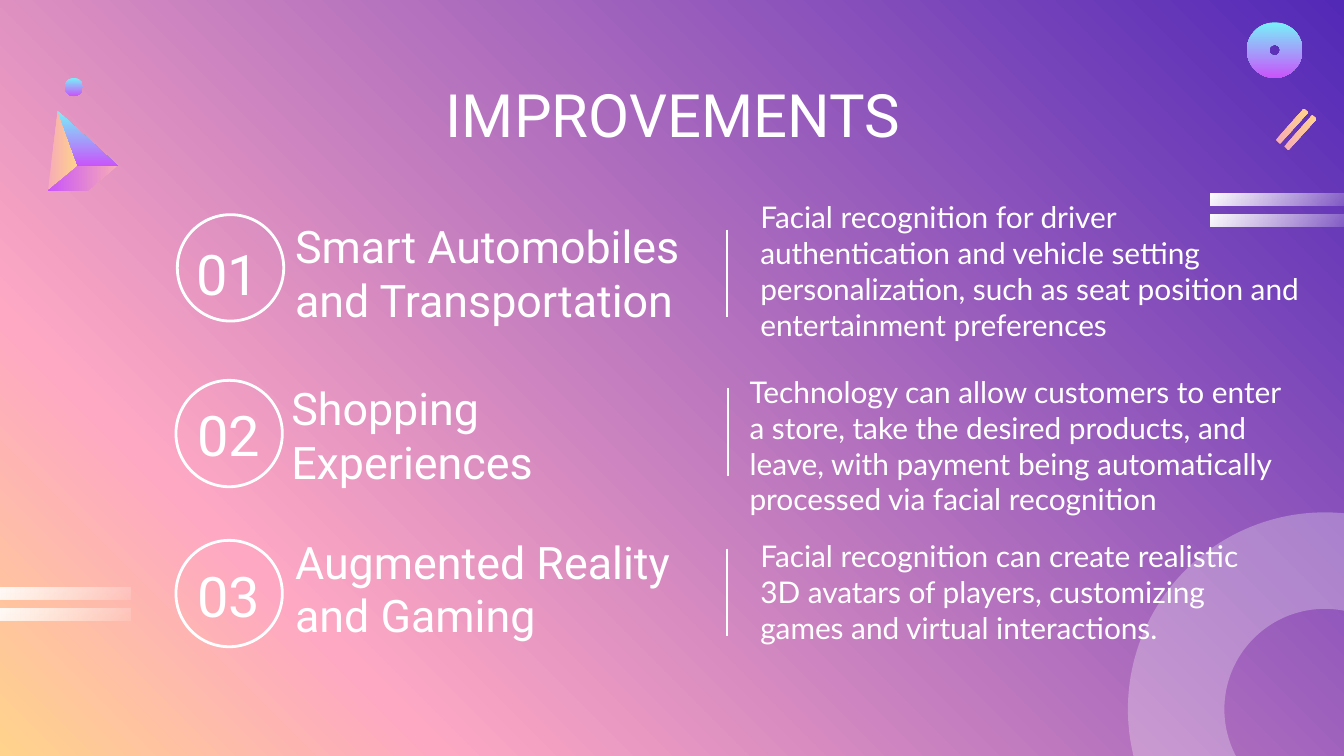
"""Build the slide on improvements that facial recognition brings."""
from lxml.etree import SubElement
from pptx import Presentation
from pptx.dml.color import RGBColor
from pptx.enum.shapes import MSO_CONNECTOR, MSO_SHAPE as Shape
from pptx.enum.text import MSO_ANCHOR as Anchor, MSO_AUTO_SIZE as AutoSize, PP_ALIGN as Align
from pptx.oxml.ns import qn
from pptx.util import Pt

WHITE = RGBColor(0xFF, 0xFF, 0xFF)
INDIGO = RGBColor(0x52, 0x29, 0xB7)
PINK = RGBColor(0xFE, 0xA8, 0xC3)
YELLOW = RGBColor(0xFF, 0xD3, 0x8B)
ROSE = RGBColor(0xF7, 0xAB, 0xB7)
CYAN = RGBColor(0x78, 0xF0, 0xF9)
VIOLET = RGBColor(0xC9, 0x54, 0xFA)

SUNSET = [(0, INDIGO, 100), (79, PINK, 100), (100, YELLOW, 100)]
PEACH = [(0, ROSE, 100), (100, YELLOW, 100)]
NEON = [(0, CYAN, 100), (100, VIOLET, 100)]
ORCHID = [(0, ROSE, 100), (100, VIOLET, 100)]
FADE = [(0, WHITE, 100), (100, WHITE, 11)]

TIP, CORE, LEFT, RIGHT, BASE = (31, 59.5), (41.75, 89), (25.75, 102.25), (63, 88.75), (47, 102.25)
CRYSTAL = [((LEFT, CORE, TIP), PEACH, 0), ((TIP, CORE, RIGHT), NEON, 90),
           ((RIGHT, CORE, LEFT, BASE), ORCHID, 180)]
SLASH = [(683.5, 75), (698.5, 58.25), (700.75, 60.25), (685.75, 77)]

# Each row: number, heading, description, then their boxes, the circle and the divider
ROWS = [
    ("01", "Smart Automobiles and Transportation",
     "Facial recognition for driver authentication and vehicle setting personalization, "
     "such as seat position and entertainment preferences",
     (90, 125.5, 64, 42), (151, 119.5, 243, 53), (400.25, 126, 310.5, 38), (95, 115), (389.5, 123)),
    ("02", "Shopping Experiences",
     "Technology can allow customers to enter a store, take the desired products, and leave, "
     "with payment being automatically processed via facial recognition",
     (90.5, 211.5, 64, 42), (149, 204.5, 247, 57), (394.5, 219.5, 307.5, 38), (94.25, 203.75), (390, 208)),
    ("03", "Augmented Reality and Gaming",
     "Facial recognition can create realistic 3D avatars of players, customizing games "
     "and virtual interactions.",
     (90.5, 298, 64, 42), (151, 286.5, 228, 57), (400.25, 298, 287.5, 38), (94.25, 289.5), (389.5, 294)),
]


def write(holder, text, size, font="Roboto", color=WHITE, align=Align.LEFT):
    """Put one formatted paragraph into a text holder."""
    frame = holder.text_frame
    frame.word_wrap = True
    frame.auto_size = AutoSize.NONE
    frame.vertical_anchor = Anchor.MIDDLE
    frame.margin_left = frame.margin_right = frame.margin_top = frame.margin_bottom = Pt(7.2)
    paragraph = frame.paragraphs[0]
    paragraph.alignment = align
    run = paragraph.add_run()
    run.text = text
    run.font.size, run.font.name = Pt(size), font
    run.font.color.rgb = color


def blend(fill, element, stops, angle):
    """Fill with a gradient of (position, colour, opacity) stops, angle clockwise."""
    fill.gradient()
    fill.gradient_angle = (360 - angle) % 360
    stop_list = element.find(".//" + qn("a:gsLst"))
    for old in list(stop_list):
        stop_list.remove(old)
    for position, color, opacity in stops:
        stop = SubElement(stop_list, qn("a:gs"), pos=str(position * 1000))
        tint = SubElement(stop, qn("a:srgbClr"), val=str(color))
        if opacity < 100:
            SubElement(tint, qn("a:alpha"), val=str(opacity * 1000))


class Deck:
    """Hold the outline style and the current slide."""

    def __init__(self, slide, outline=1.5):
        self.slide, self.shapes, self.outline = slide, slide.shapes, Pt(outline)

    def background(self, stops, angle):
        """Paint the slide background."""
        blend(self.slide.background.fill, self.slide.element, stops, angle)

    def title(self, text, box):
        """Place the slide title in its placeholder."""
        holder = self.shapes.title
        holder.left, holder.top, holder.width, holder.height = map(Pt, box)
        write(holder, text, 32, align=Align.CENTER)

    def text(self, text, box, size, **style):
        """Add a text box."""
        write(self.shapes.add_textbox(*map(Pt, box)), text, size, **style)

    def preset(self, kind, box, stops=None, angle=0, thickness=None):
        """Add a preset shape, outlined unless it gets gradient stops."""
        shape = self.shapes.add_shape(kind, *map(Pt, box))
        shape.shadow.inherit = False
        if thickness is not None:
            shape.adjustments[0] = thickness
        if stops:
            blend(shape.fill, shape.element, stops, angle)
            shape.line.fill.background()
        else:
            shape.fill.background()
            shape.line.color.rgb, shape.line.width = WHITE, self.outline
        return shape

    def veil(self, kind, box, opacity, thickness):
        """Add a translucent white shape."""
        shape = self.preset(kind, box, thickness=thickness)
        shape.fill.solid()
        shape.fill.fore_color.rgb = WHITE
        shape.line.fill.background()
        tint = shape.element.spPr.find(qn("a:solidFill")).find(qn("a:srgbClr"))
        SubElement(tint, qn("a:alpha"), val=str(opacity * 1000))

    def polygon(self, points, stops, angle):
        """Add a closed gradient polygon."""
        start, *rest = [(Pt(x), Pt(y)) for x, y in points]
        builder = self.shapes.build_freeform(*start)
        builder.add_line_segments(rest, close=True)
        shape = builder.convert_to_shape()
        shape.shadow.inherit = False
        blend(shape.fill, shape.element, stops, angle)
        shape.line.fill.background()

    def divider(self, x, y, length=47):
        """Add a vertical line."""
        line = self.shapes.add_connector(MSO_CONNECTOR.STRAIGHT, Pt(x), Pt(y), Pt(x), Pt(y + length))
        line.line.color.rgb, line.line.width = WHITE, self.outline
        SubElement(line.element.spPr, qn("a:effectLst"))


def main():
    """Assemble and save the slide."""
    presentation = Presentation()
    presentation.slide_width, presentation.slide_height = Pt(720), Pt(405)
    deck = Deck(presentation.slides.add_slide(presentation.slide_layouts[5]))
    deck.background(SUNSET, 135)
    deck.veil(Shape.DONUT, (604.25, 274.5, 211, 211), 28, 0.245)
    deck.title("IMPROVEMENTS", (57, 42, 607, 38))

    for number, heading, detail, number_box, heading_box, detail_box, circle, divider in ROWS:
        deck.text(heading, heading_box, 24)
        deck.preset(Shape.OVAL, (*circle, 57, 57))
        deck.text(number, number_box, 30, align=Align.CENTER)
        deck.text(detail, detail_box, 16, font="Lato")
        deck.divider(*divider)

    for face, stops, angle in CRYSTAL:
        deck.polygon(face, stops, angle)
    deck.preset(Shape.DONUT, (668, 12, 29.75, 29.75), NEON, 90, thickness=0.4)
    deck.preset(Shape.OVAL, (34.75, 41.75, 9.75, 9.75), NEON, 90)
    for dx, dy in [(0, 0), (4.5, 3.5)]:
        deck.polygon([(x + dx, y + dy) for x, y in SLASH], PEACH, 0)
    for left, top in [(-6.5, 314.5), (648.25, 103.5)]:
        for offset in (0, 11.25):
            deck.preset(Shape.RECTANGLE, (left, top + offset, 76.5, 6.5), FADE, 45)
    presentation.save("out.pptx")


if __name__ == "__main__":
    main()
